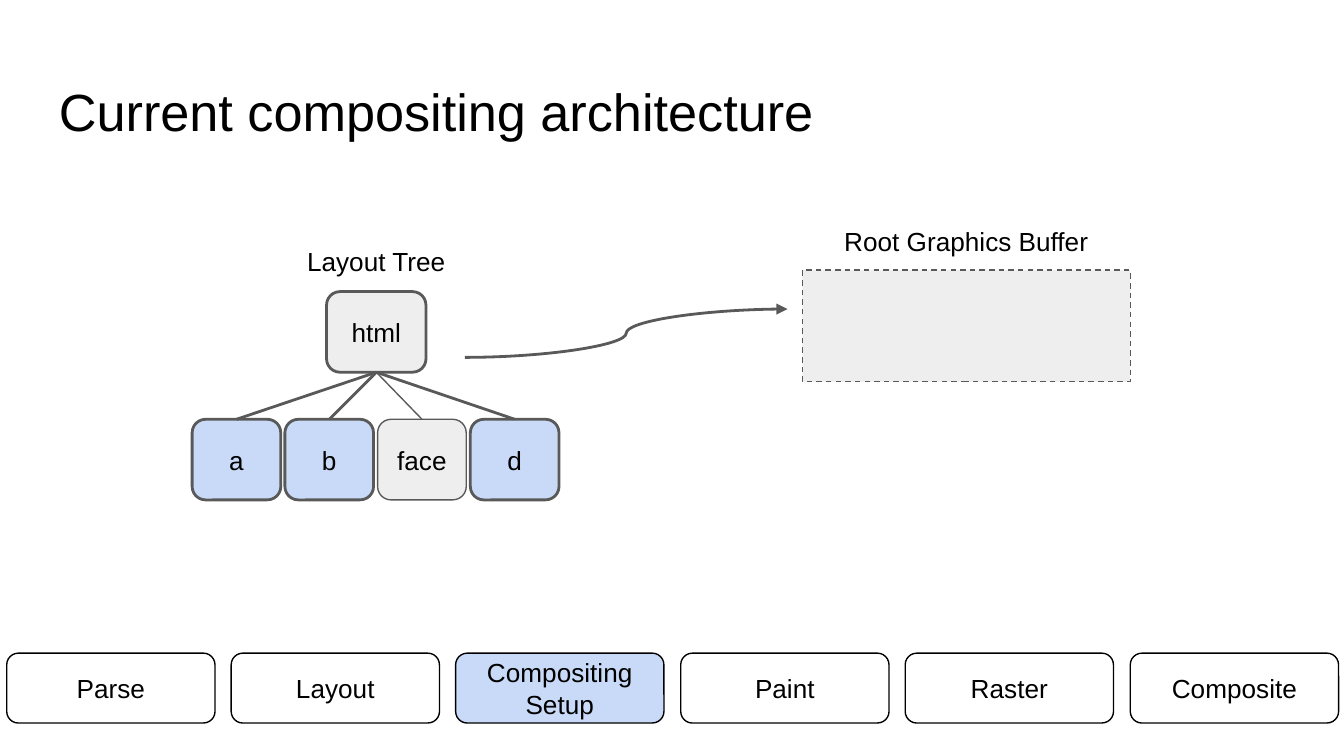
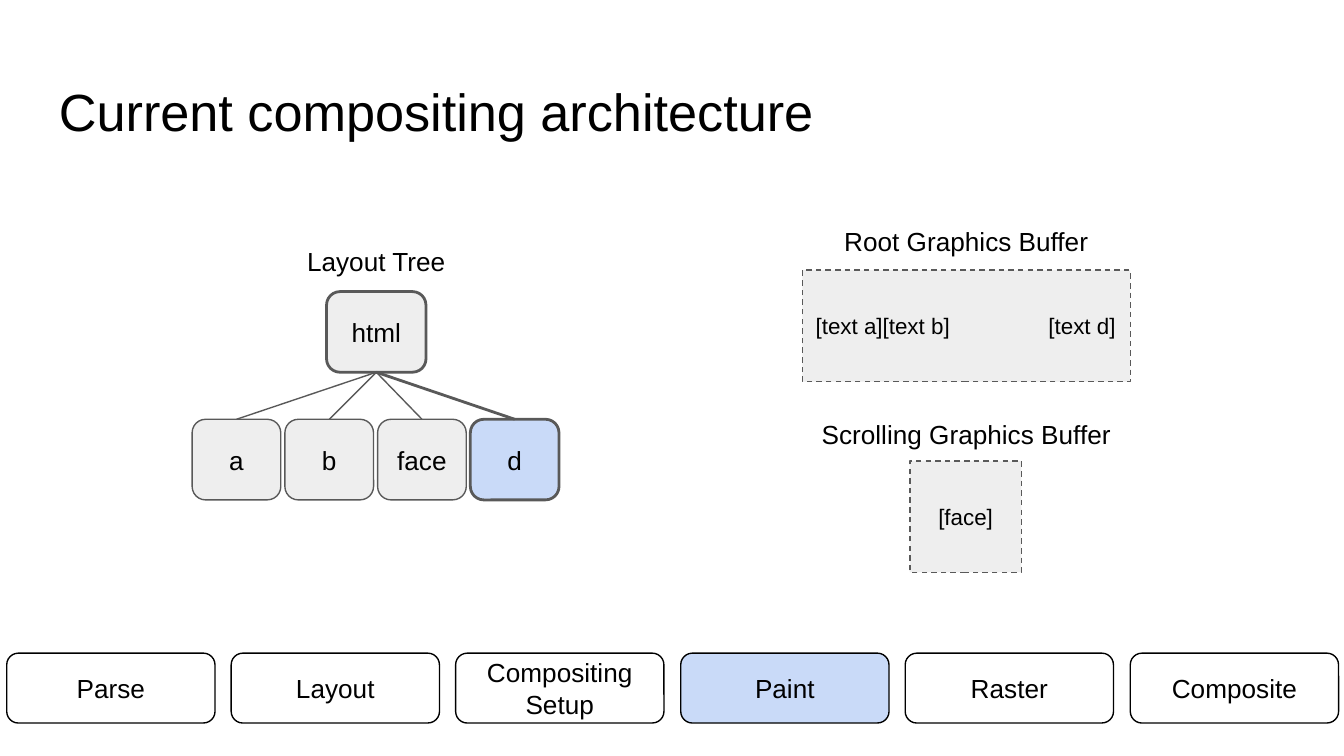
from dataclasses import dataclass
from typing import Any, Optional

import pptx
import pptx.dml.color
import pptx.enum.dml
import pptx.enum.shapes
import pptx.enum.text
import pptx.oxml.xmlchemy
import pptx.util

RGBColor = pptx.dml.color.RGBColor
BLACK = RGBColor(0x00, 0x00, 0x00)
WHITE = RGBColor(0xFF, 0xFF, 0xFF)
GREY = RGBColor(0xEE, 0xEE, 0xEE)
DARK = RGBColor(0x59, 0x59, 0x59)
BLUE = RGBColor(0xC9, 0xDA, 0xF8)

SHAPE = pptx.enum.shapes.MSO_SHAPE
JOIN = pptx.enum.shapes.MSO_CONNECTOR
ALIGN = pptx.enum.text.PP_ALIGN
ANCHOR = pptx.enum.text.MSO_ANCHOR
DASH = pptx.enum.dml.MSO_LINE.DASH

SCALE = 4572  # EMU in one px, 200 px to the inch
PAD = 20
THIN, THICK = 0.75, 1.5
FONT = "Arial"
TITLE = "Current compositing architecture"
STEPS = ["Parse", "Layout", "Compositing\nSetup", "Paint", "Raster", "Composite"]
LEAVES = ["a", "b", "face", "d"]


@dataclass(frozen=True)
class Box:
    left: int
    top: int
    width: int
    height: int


@dataclass(frozen=True)
class Look:
    fill: RGBColor
    line: RGBColor = DARK
    weight: float = THIN
    dash: Any = None
    kind: Any = SHAPE.ROUNDED_RECTANGLE


@dataclass(frozen=True)
class Note:
    text: str
    box: Box
    size: int = 14
    align: Any = ALIGN.CENTER
    anchor: Any = ANCHOR.BOTTOM


@dataclass(frozen=True)
class Scene:
    step: str
    lit: str  # leaves drawn in blue
    notes: tuple[Note, ...] = ()
    extra: tuple[Box, ...] = ()
    arrow: bool = False


PLAIN = Look(GREY)
BOLD = Look(GREY, weight=THICK)
LIT = Look(BLUE, weight=THICK)
BUFFER = Look(GREY, dash=DASH, kind=SHAPE.RECTANGLE)

HEAD = Note(TITLE, Box(68, 98, 1864, 126), 28, ALIGN.LEFT, ANCHOR.TOP)
HTML = Box(486, 434, 148, 120)
ROOT = Box(1194, 402, 488, 166)
SCROLL = Box(1354, 686, 166, 166)
LABELS = (
    Note("Layout Tree", Box(316, 302, 488, 130)),
    Note("Root Graphics Buffer", Box(1194, 272, 488, 130)),
)
SCENES = [
    Scene("Compositing\nSetup", "abd", arrow=True),
    Scene("Paint", "d", (
        Note("Scrolling Graphics Buffer", Box(1194, 560, 488, 130)),
        Note("[text a][text b]", Box(1194, 402, 282, 166), 12, ALIGN.LEFT, ANCHOR.MIDDLE),
        Note("[text d]", Box(1514, 402, 166, 166), 12, ALIGN.RIGHT, ANCHOR.MIDDLE),
        Note("[face]", SCROLL, 12, anchor=ANCHOR.MIDDLE),
    ), (SCROLL,)),
]


def px(*nums: int) -> list[int]:
    return [n * SCALE for n in nums]


def place(box: Box) -> list[int]:
    return px(box.left, box.top, box.width, box.height)


def put(item: Any, **values: Any) -> None:
    """Set each named value on the item."""
    for name, value in values.items():
        setattr(item, name, value)


def write(shape: Any, text: str, size: int = 14, align: Any = ALIGN.CENTER,
          anchor: Any = ANCHOR.MIDDLE) -> None:
    frame = shape.text_frame
    sides = ("left", "top", "right", "bottom")
    put(frame, text=text, word_wrap=True, vertical_anchor=anchor,
        **{f"margin_{side}": PAD * SCALE for side in sides})
    for para in frame.paragraphs:
        para.alignment = align
        put(para.font, name=FONT, size=pptx.util.Pt(size))
        para.font.color.rgb = BLACK


def stroke(item: Any, tint: RGBColor, weight: float) -> None:
    item.line.color.rgb = tint
    item.line.width = pptx.util.Pt(weight)


def add_note(slide: Any, note: Note) -> None:
    shape = slide.shapes.add_textbox(*place(note.box))
    write(shape, note.text, note.size, note.align, note.anchor)


def add_box(slide: Any, box: Box, look: Look, text: Optional[str] = None) -> Any:
    shape = slide.shapes.add_shape(look.kind, *place(box))
    shape.shadow.inherit = False
    shape.fill.solid()
    shape.fill.fore_color.rgb = look.fill
    stroke(shape, look.line, look.weight)
    if look.dash:
        shape.line.dash_style = look.dash
    if text:
        write(shape, text)
    return shape


def add_line(slide: Any, kind: Any, ends: list[int], weight: float) -> Any:
    line = slide.shapes.add_connector(kind, *ends)
    stroke(line, DARK, weight)
    line._element.spPr.append(pptx.oxml.xmlchemy.OxmlElement("a:effectLst"))
    return line


def add_steps(slide: Any, now: str) -> None:
    """Draw the row of stages with the current one in blue."""
    for i, step in enumerate(STEPS):
        look = Look(BLUE if step == now else WHITE, BLACK)
        add_box(slide, Box(10 + i * 1672 // 5, 972, 310, 104), look, step)


def add_tree(slide: Any, lit: str) -> None:
    top = add_box(slide, HTML, BOLD, "html")
    for i, name in enumerate(LEAVES):
        look = LIT if name in lit else PLAIN
        leaf = add_box(slide, Box(286 + i * 138, 624, 132, 120), look, name)
        line = add_line(slide, JOIN.STRAIGHT, px(0, 0, 0, 0), look.weight)
        line.begin_connect(top, 2)
        line.end_connect(leaf, 0)


def add_arrow(slide: Any) -> None:
    curve = add_line(slide, JOIN.CURVE, px(692, 532, 1172, 460), THICK)
    tip = pptx.oxml.xmlchemy.OxmlElement("a:tailEnd")
    tip.set("type", "triangle")
    curve.line._get_or_add_ln().append(tip)


def add_scene(deck: Any, scene: Scene) -> None:
    slide = deck.slides.add_slide(deck.slide_layouts[6])
    add_note(slide, HEAD)
    add_steps(slide, scene.step)
    add_tree(slide, scene.lit)
    for box in (ROOT, *scene.extra):
        add_box(slide, box, BUFFER)
    for note in LABELS + scene.notes:
        add_note(slide, note)
    if scene.arrow:
        add_arrow(slide)


def main() -> None:
    deck = pptx.Presentation()
    deck.slide_width, deck.slide_height = px(2000, 1125)
    for scene in SCENES:
        add_scene(deck, scene)
    deck.save("out.pptx")


if __name__ == "__main__":
    main()
